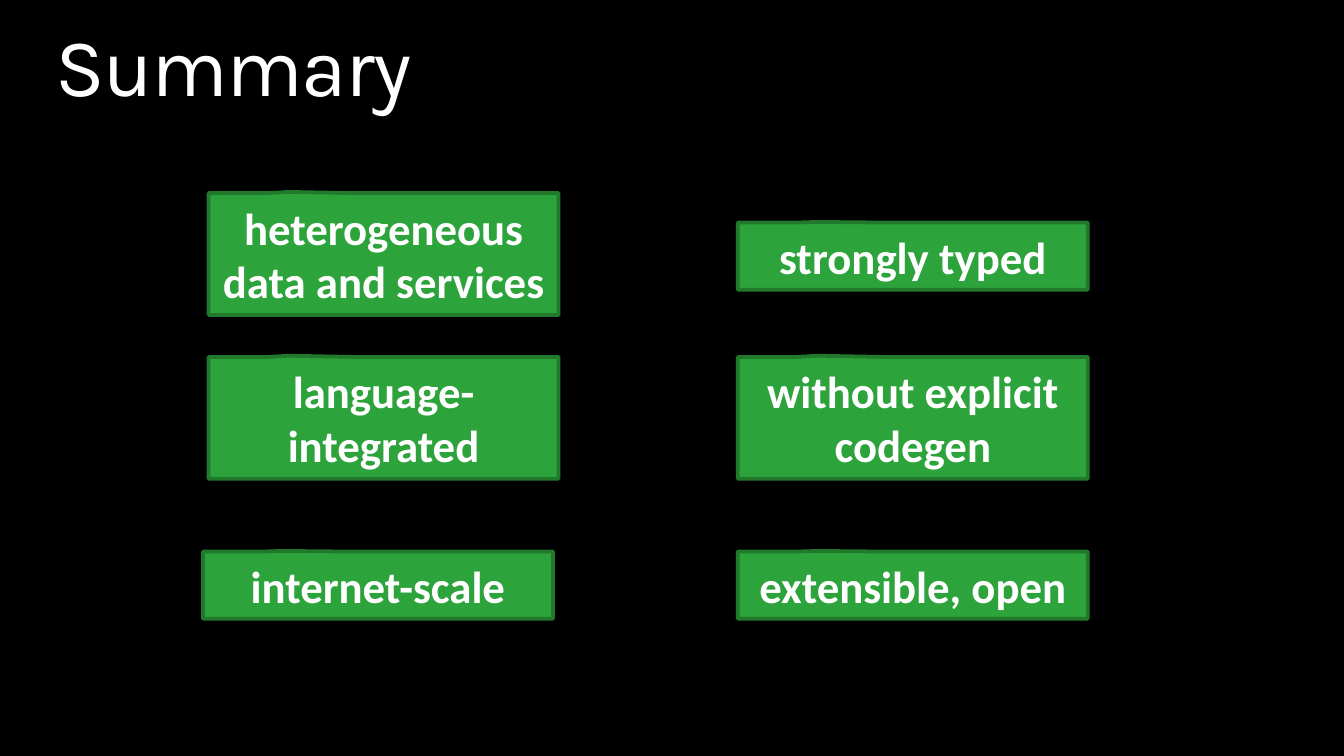
import pptx
import pptx.util
import pptx.dml.color
import pptx.enum.shapes
import pptx.enum.text

PX = 9525  # 96 px to the inch
COLORS = {"back": "000000", "text": "FFFFFF", "fill": "2DA33B", "edge": "21792C"}
WIDE, TALL, LOW = 250, 87, 48


def px(*sizes):
    return [pptx.util.Emu(size * PX) for size in sizes]


def color(name):
    return pptx.dml.color.RGBColor.from_string(COLORS[name])


def style(font, name, size, bold):
    font.name = name
    font.size = pptx.util.Pt(size)
    font.bold = bold
    font.color.rgb = color("text")


def pad(frame, side, edge):
    frame.margin_left = frame.margin_right = px(side)[0]
    frame.margin_top = frame.margin_bottom = px(edge)[0]
    frame.word_wrap = True
    frame.auto_size = pptx.enum.text.MSO_AUTO_SIZE.SHAPE_TO_FIT_TEXT


def add_title(slide, box, text):
    title = slide.shapes.title
    title.left, title.top, title.width, title.height = px(*box)
    frame = title.text_frame
    frame.text = text
    pad(frame, 0, 0)
    frame.vertical_anchor = pptx.enum.text.MSO_ANCHOR.TOP
    para = frame.paragraphs[0]
    para.alignment = pptx.enum.text.PP_ALIGN.LEFT
    para.line_spacing = 0.9
    run = para.runs[0]
    style(run.font, "Karla", 44, False)
    run.font._element.set("spc", "-100")  # tighter letters


def add_label(slide, box, text):
    kind = pptx.enum.shapes.MSO_SHAPE.RECTANGULAR_CALLOUT
    label = slide.shapes.add_shape(kind, *px(*box))
    label.adjustments[0] = -0.27
    label.adjustments[1] = -0.51
    label.shadow.inherit = False
    label.fill.solid()
    label.fill.fore_color.rgb = color("fill")
    label.line.color.rgb = color("edge")
    label.line.width = pptx.util.Pt(2)
    frame = label.text_frame
    frame.text = text
    pad(frame, 10, 5)
    frame.vertical_anchor = pptx.enum.text.MSO_ANCHOR.MIDDLE
    para = frame.paragraphs[0]
    para.alignment = pptx.enum.text.PP_ALIGN.CENTER
    style(para.runs[0].font, "Calibri", 24, True)


def add_grid(slide, box, labels):
    left, top, width, _ = box
    for col, column in enumerate(labels):
        for shift, drop, height, text in column:
            x = left + col * (width - WIDE) + shift
            add_label(slide, (x, top + drop, WIDE, height), text)


def main():
    deck = pptx.Presentation()
    deck.slide_width, deck.slide_height = px(960, 540)
    slide = deck.slides.add_slide(deck.slide_layouts[5])
    slide.background.fill.solid()
    slide.background.fill.fore_color.rgb = color("back")

    add_title(slide, (40, 18, 880, 64), "Summary")

    # Two columns: shift, drop, height and text of each label
    add_grid(slide, (149, 138, 628, 304), [
        [(0, 0, TALL, "heterogeneous data and services"),
         (0, 117, TALL, "language-integrated"),
         (-4, 256, LOW, "internet-scale")],
        [(0, 21, LOW, "strongly typed"),
         (0, 117, TALL, "without explicit codegen"),
         (0, 256, LOW, "extensible, open")],
    ])
    deck.save("out.pptx")


if __name__ == "__main__":
    main()
